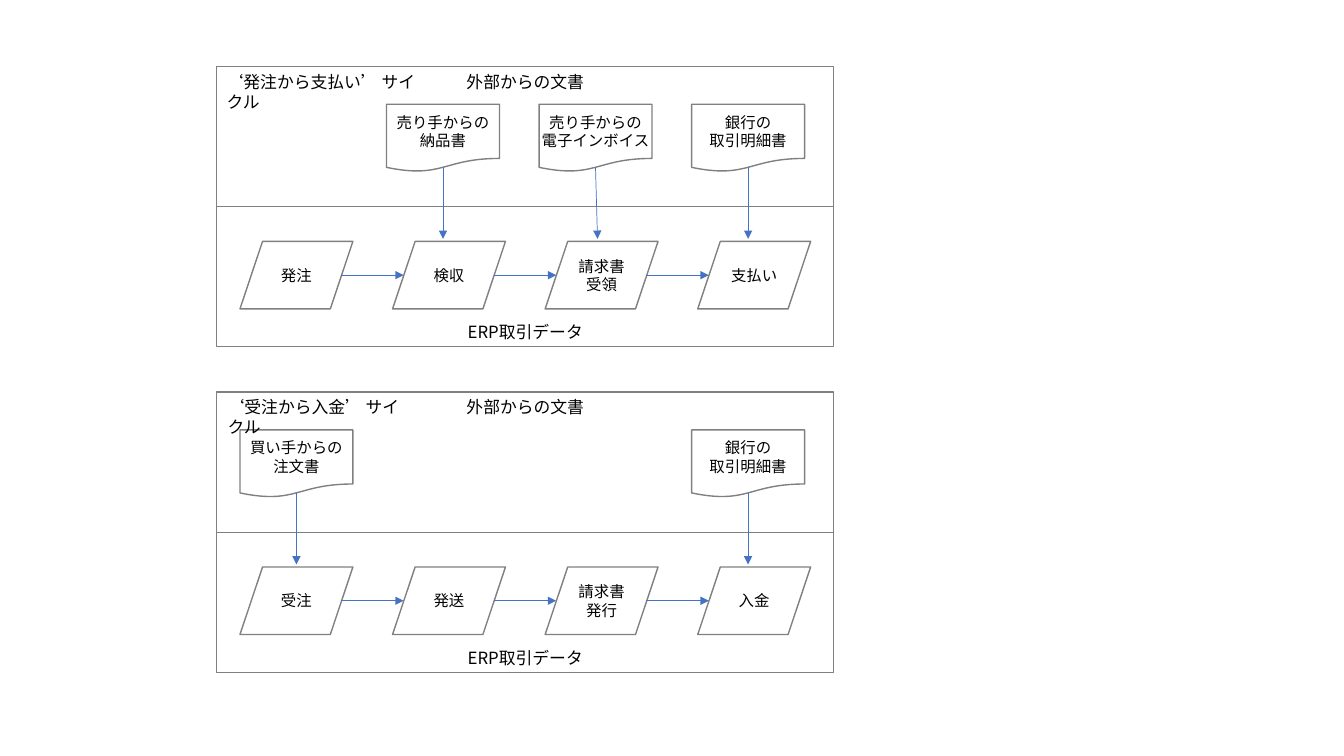
from dataclasses import dataclass

from lxml import etree
from pptx import Presentation
from pptx.dml.color import RGBColor
from pptx.enum.shapes import MSO_CONNECTOR, MSO_SHAPE
from pptx.enum.text import MSO_ANCHOR, PP_ALIGN
from pptx.oxml.ns import qn
from pptx.shapes.autoshape import Shape
from pptx.slide import Slide
from pptx.text.text import TextFrame
from pptx.util import Inches, Pt

STRAIGHT = MSO_CONNECTOR.STRAIGHT
RECT = MSO_SHAPE.RECTANGLE
PAPER = MSO_SHAPE.FLOWCHART_DOCUMENT
DATA = MSO_SHAPE.FLOWCHART_DATA
TOP, MIDDLE, BOTTOM = MSO_ANCHOR.TOP, MSO_ANCHOR.MIDDLE, MSO_ANCHOR.BOTTOM
LEFT, CENTER = PP_ALIGN.LEFT, PP_ALIGN.CENTER

FONT = "Noto Sans CJK JP"
COLORS = {"text": "000000", "edge": "808080", "arrow": "4472C4"}

BAND_X, BAND_W, BAND_H = 2.15, 6.12, 1.39
STEP_X, STEP_Y, PITCH = 2.38, 1.735, 4.54 / 3
BOX_W, BOX_H = 1.12, 0.67
PAPER_Y = 0.375


@dataclass
class Paper:
    column: int
    lines: list[str]
    shift: float = -0.06
    lean: float = 0


@dataclass
class Cycle:
    top: float
    label: str
    left: float
    width: float
    papers: list[Paper]
    steps: list[list[str]]


CYCLES = [
    Cycle(0.66, "‘発注から支払い’ サイクル", 2.15, 2.19,
          [Paper(1, ["売り手からの", "納品書"]),
           Paper(2, ["売り手からの", "電子インボイス"], lean=0.02),
           Paper(3, ["銀行の", "取引明細書"])],
          [["発注"], ["検収"], ["請求書", "受領"], ["支払い"]]),
    Cycle(3.89, "‘受注から入金’ サイクル", 2.16, 2.02,
          [Paper(0, ["買い手からの", "注文書"], shift=0),
           Paper(3, ["銀行の", "取引明細書"])],
          [["受注"], ["発送"], ["請求書", "発行"], ["入金"]]),
]


def color(name: str) -> RGBColor:
    return RGBColor.from_string(COLORS[name])


def write(frame: TextFrame, lines: list[str], size: int,
          anchor: MSO_ANCHOR, align: PP_ALIGN) -> None:
    frame.word_wrap = True
    frame.vertical_anchor = anchor
    for index, line in enumerate(lines):
        para = frame.add_paragraph() if index else frame.paragraphs[0]
        para.alignment = align
        run = para.add_run()
        run.text = line
        run.font.size = Pt(size)
        run.font.name = FONT
        run.font.color.rgb = color("text")
        east = etree.SubElement(run.font._element, qn("a:ea"))
        east.set("typeface", FONT)


def add_box(slide: Slide, kind: MSO_SHAPE, x: float, y: float,
            width: float, height: float) -> Shape:
    box = slide.shapes.add_shape(
        kind, Inches(x), Inches(y), Inches(width), Inches(height))
    box.shadow.inherit = False
    box.fill.background()
    box.line.color.rgb = color("edge")
    box.line.width = Pt(1)
    return box


def add_band(slide: Slide, y: float, text: str, anchor: MSO_ANCHOR) -> None:
    band = add_box(slide, RECT, BAND_X, y, BAND_W, BAND_H)
    write(band.text_frame, [text], 12, anchor, CENTER)


def add_node(slide: Slide, kind: MSO_SHAPE, x: float, y: float,
             lines: list[str]) -> None:
    frame = add_box(slide, kind, x, y, BOX_W, BOX_H).text_frame
    frame.margin_left = frame.margin_right = 0
    frame.margin_top = frame.margin_bottom = 0
    write(frame, lines, 11, MIDDLE, CENTER)


def add_arrow(slide: Slide, x1: float, y1: float,
              x2: float, y2: float) -> None:
    arrow = slide.shapes.add_connector(
        STRAIGHT, Inches(x1), Inches(y1), Inches(x2), Inches(y2))
    arrow.line.color.rgb = color("arrow")
    arrow.line.width = Pt(0.5)
    tail = etree.SubElement(arrow.line._get_or_add_ln(), qn("a:tailEnd"))
    tail.set("type", "triangle")
    etree.SubElement(arrow._element.spPr, qn("a:effectLst"))


def add_cycle(slide: Slide, cycle: Cycle) -> None:
    top = cycle.top
    add_band(slide, top + BAND_H, "ERP取引データ", BOTTOM)
    add_band(slide, top, "外部からの文書", TOP)

    for column, lines in enumerate(cycle.steps):
        x = STEP_X + column * PITCH
        y = top + STEP_Y
        add_node(slide, DATA, x, y, lines)
        if column:
            mid = y + BOX_H / 2
            add_arrow(slide, x - 0.51, mid, x + 0.11, mid)

    for paper in cycle.papers:
        x = STEP_X + paper.column * PITCH + paper.shift
        add_node(slide, PAPER, x, top + PAPER_Y, paper.lines)
        mid = x + BOX_W / 2
        add_arrow(slide, mid, top + 1, mid + paper.lean, top + 1.71)

    label = slide.shapes.add_textbox(
        Inches(cycle.left), Inches(top), Inches(cycle.width), Inches(0.3))
    write(label.text_frame, [cycle.label], 12, TOP, LEFT)


def main() -> None:
    deck = Presentation()
    deck.slide_width = Inches(13.33)
    deck.slide_height = Inches(7.5)
    slide = deck.slides.add_slide(deck.slide_layouts[6])
    for cycle in CYCLES:
        add_cycle(slide, cycle)
    deck.save("out.pptx")


if __name__ == "__main__":
    main()
